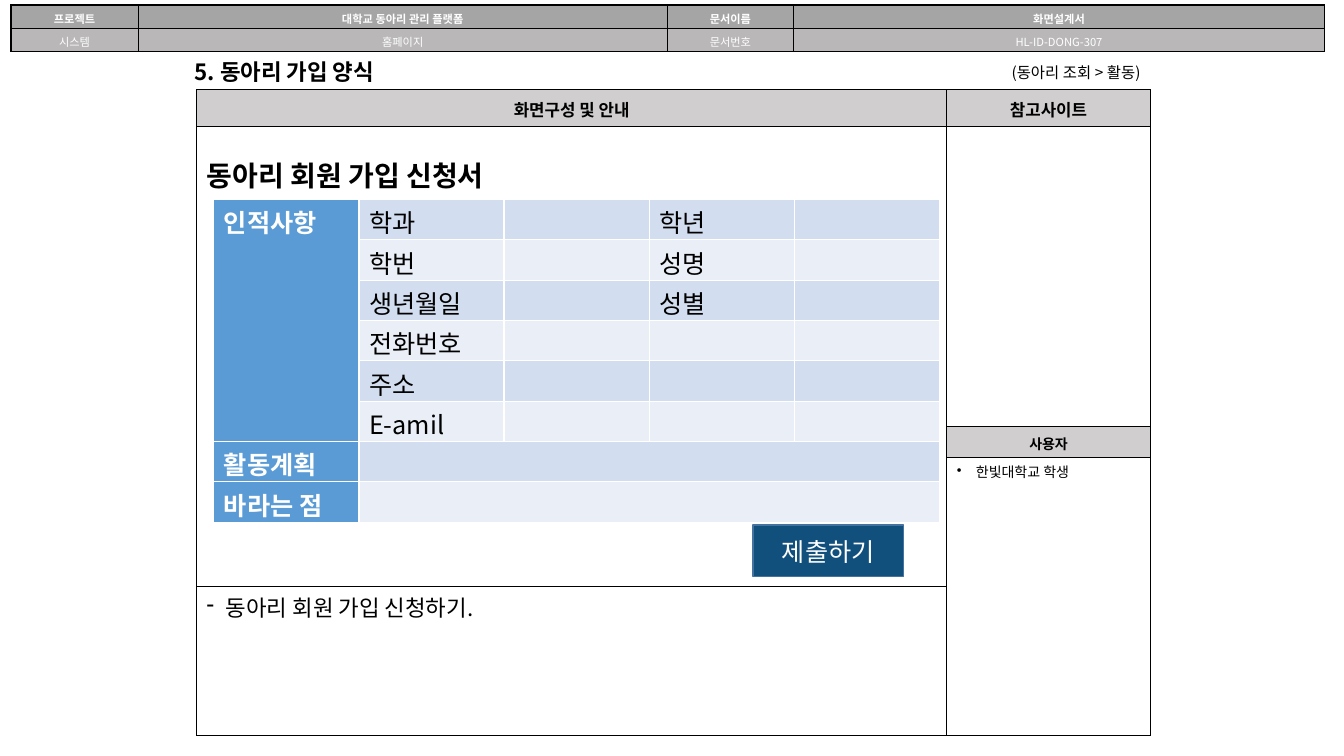
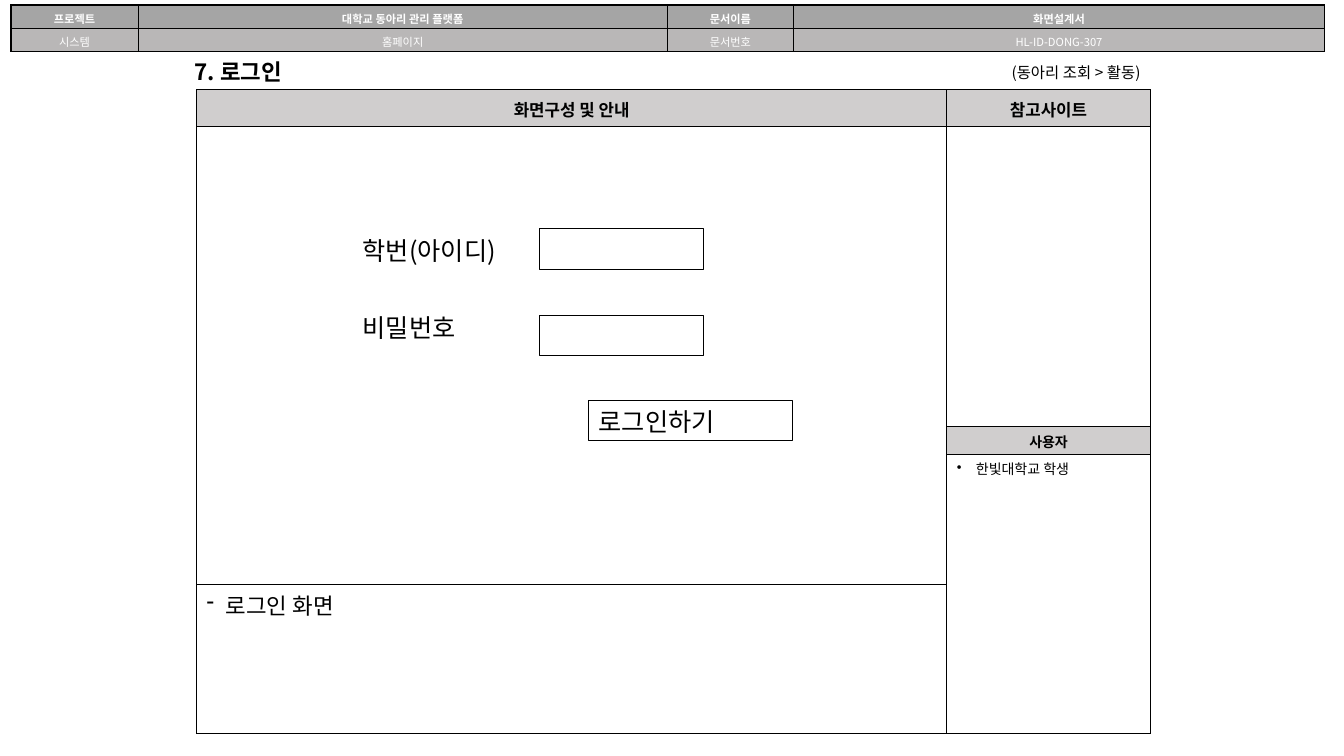
"""Build two screen-design slides of a club platform: join form and login."""
import pptx
import pptx.util
import pptx.dml.color
import pptx.enum.shapes
import pptx.enum.text
import pptx.oxml
import pptx.oxml.ns
from lxml import etree

RGB = pptx.dml.color.RGBColor
BLACK = RGB(0x00, 0x00, 0x00)
WHITE = RGB(0xFF, 0xFF, 0xFF)
GRAY = RGB(0xA5, 0xA5, 0xA5)
PALE = RGB(0xB9, 0xB7, 0xB7)
HEAD = RGB(0xD0, 0xCE, 0xCE)
BLUE = RGB(0x5B, 0x9B, 0xD5)
BANDS = RGB(0xD2, 0xDE, 0xEF), RGB(0xEA, 0xEF, 0xF7)
NAVY = RGB(0x11, 0x4F, 0x7D)
EDGE = RGB(0x43, 0x73, 0x9E)
FONT = "Noto Sans CJK KR"
LEAD = 1.25
LEFT = pptx.enum.text.PP_ALIGN.LEFT
MID = pptx.enum.text.PP_ALIGN.CENTER
RIGHT = pptx.enum.text.PP_ALIGN.RIGHT
TOP = pptx.enum.text.MSO_ANCHOR.TOP
CENTER = pptx.enum.text.MSO_ANCHOR.MIDDLE

META = [
    ("프로젝트", "대학교 동아리 관리 플랫폼", "문서이름", "화면설계서"),
    ("시스템", "홈페이지", "문서번호", "HL-ID-DONG-307"),
]
CRUMB = "(동아리 조회 > 활동)"
USER = "한빛대학교 학생"
JOIN = {
    "title": "5. 동아리 가입 양식",
    "lead": "동아리 회원 가입 신청서",
    "note": "동아리 회원 가입 신청하기.",
    "rows": (0.36, 2.98, 0.31, 1.28, 1.48),
}
LOGIN = {
    "title": "7. 로그인",
    "lead": "",
    "note": "로그인 화면",
    "rows": (0.36, 2.98, 0.28, 1.29, 1.48),
}
FORM = [
    ("인적사항", "학과", "", "학년", ""),
    ("", "학번", "", "성명", ""),
    ("", "생년월일", "", "성별", ""),
    ("", "전화번호", "", "", ""),
    ("", "주소", "", "", ""),
    ("", "E-amil", "", "", ""),
    ("활동계획", "", "", "", ""),
    ("바라는 점", "", "", "", ""),
]
FIELDS = [("학번(아이디)", 2.27, 2.27), ("비밀번호", 3.04, 3.13)]


def inch(*vals):
    return [pptx.util.Inches(v) for v in vals]


def write(frame, text, size, color=BLACK, bold=False, align=LEFT, lead=None):
    para = frame.paragraphs[0]
    para.alignment = align
    if lead:
        para.line_spacing = pptx.util.Pt(size * lead)
    run = para.add_run()
    run.text = text
    font = run.font
    font.size, font.bold, font.name = pptx.util.Pt(size), bold, FONT
    font.color.rgb = color
    east = etree.SubElement(run._r.get_or_add_rPr(), pptx.oxml.ns.qn("a:ea"))
    east.set("typeface", FONT)
    return para


def bullet(para, mark):
    props = para._p.get_or_add_pPr()
    props.set("marL", str(pptx.util.Inches(0.19)))
    props.set("indent", str(-pptx.util.Inches(0.19)))
    etree.SubElement(props, pptx.oxml.ns.qn("a:buChar")).set("char", mark)


def grid(slide, left, top, cols, rows, color, width, pads):
    box = inch(left, top, sum(cols), sum(rows))
    table = slide.shapes.add_table(len(rows), len(cols), *box).table
    table.first_row = table.horz_banding = False
    for col, size in zip(table.columns, cols):
        col.width = pptx.util.Inches(size)
    for row, size in zip(table.rows, rows):
        row.height = pptx.util.Inches(size)
    for cell in table.iter_cells():
        props = cell._tc.get_or_add_tcPr()
        for side in "LRTB":
            line = etree.SubElement(props, pptx.oxml.ns.qn("a:ln" + side))
            line.set("w", str(pptx.util.Pt(width)))
            fill = etree.SubElement(line, pptx.oxml.ns.qn("a:solidFill"))
            tint = etree.SubElement(fill, pptx.oxml.ns.qn("a:srgbClr"))
            tint.set("val", str(color))
        cell.margin_top, cell.margin_bottom = inch(*pads)
        cell.fill.background()
    return table


def paint(cell, color):
    cell.fill.solid()
    cell.fill.fore_color.rgb = color


def label(slide, text, box, size, align=LEFT):
    frame = slide.shapes.add_textbox(*inch(*box)).text_frame
    frame.word_wrap = True
    write(frame, text, size, align=align, lead=LEAD)


def rect(slide, box, line, width, fill=None):
    kind = pptx.enum.shapes.MSO_SHAPE.RECTANGLE
    shape = slide.shapes.add_shape(kind, *inch(*box))
    shape.shadow.inherit = False
    shape.line.color.rgb = line
    shape.line.width = pptx.util.Pt(width)
    if fill is None:
        shape.fill.background()
    else:
        shape.fill.solid()
        shape.fill.fore_color.rgb = fill
    return shape.text_frame


def panel(slide, data):
    table = grid(slide, 1.95, 0.89, (7.44, 2.02), data["rows"],
                 BLACK, 0.5, (0.04, 0.02))
    table.cell(1, 0).merge(table.cell(3, 0))
    table.cell(3, 1).merge(table.cell(4, 1))
    heads = [(0, 0, "화면구성 및 안내", 12), (0, 1, "참고사이트", 12),
             (2, 1, "사용자", 10)]
    for row, col, text, size in heads:
        cell = table.cell(row, col)
        cell.vertical_anchor = CENTER
        paint(cell, HEAD)
        write(cell.text_frame, text, size, bold=True, align=MID)
    if data["lead"]:
        cell = table.cell(1, 0)
        cell.margin_top = pptx.util.Inches(0.28)
        write(cell.text_frame, data["lead"], 20, bold=True)
    bullet(write(table.cell(3, 1).text_frame, USER, 10), "•")
    bullet(write(table.cell(4, 0).text_frame, data["note"], 16), "-")


def base(deck, data):
    slide = deck.slides.add_slide(deck.slide_layouts[5])
    panel(slide, data)
    title = slide.shapes.title
    title.left, title.top, title.width, title.height = inch(1.83, 0.52, 4, 0.37)
    frame = title.text_frame
    frame.auto_size = pptx.enum.text.MSO_AUTO_SIZE.NONE
    frame.vertical_anchor = TOP
    write(frame, data["title"], 16, bold=True, lead=LEAD)
    label(slide, CRUMB, (4.77, 0.57, 6.64, 0.29), 11, RIGHT)
    table = grid(slide, 0.11, 0.05, (1.26, 5.25, 1.25, 5.27), (0.23, 0.23),
                 BLACK, 1, (0.05, 0))
    for r, (row, fill) in enumerate(zip(META, (GRAY, PALE))):
        for c, text in enumerate(row):
            cell = table.cell(r, c)
            paint(cell, fill)
            write(cell.text_frame, text, 8, WHITE, r == 0, MID)
    return slide


def join(deck):
    slide = base(deck, JOIN)
    table = grid(slide, 2.12, 1.98, [1.44] * 5, [0.4] * len(FORM),
                 WHITE, 1, (0.04, 0))
    table.cell(0, 0).merge(table.cell(5, 0))
    for r in (6, 7):
        table.cell(r, 1).merge(table.cell(r, 4))
    for r, row in enumerate(FORM):
        for c, text in enumerate(row):
            cell = table.cell(r, c)
            paint(cell, BANDS[r % 2] if c else BLUE)
            if text:
                write(cell.text_frame, text, 18, BLACK if c else WHITE, c == 0)
    frame = rect(slide, (7.47, 5.21, 1.49, 0.51), EDGE, 1, NAVY)
    write(frame, "제출하기", 18, WHITE, align=MID, lead=LEAD)


def login(deck):
    slide = base(deck, LOGIN)
    for text, top, edge in FIELDS:
        label(slide, text, (3.5, top, 1.63, 0.4), 18)
        rect(slide, (5.35, edge, 1.63, 0.4), BLACK, 0.75)
    frame = rect(slide, (5.84, 3.97, 2.02, 0.4), BLACK, 0.75)
    write(frame, "로그인하기", 18, lead=LEAD)


def main():
    deck = pptx.Presentation()
    deck.slide_width, deck.slide_height = inch(13.33, 7.5)
    join(deck)
    login(deck)
    deck.save("out.pptx")


if __name__ == "__main__":
    main()
